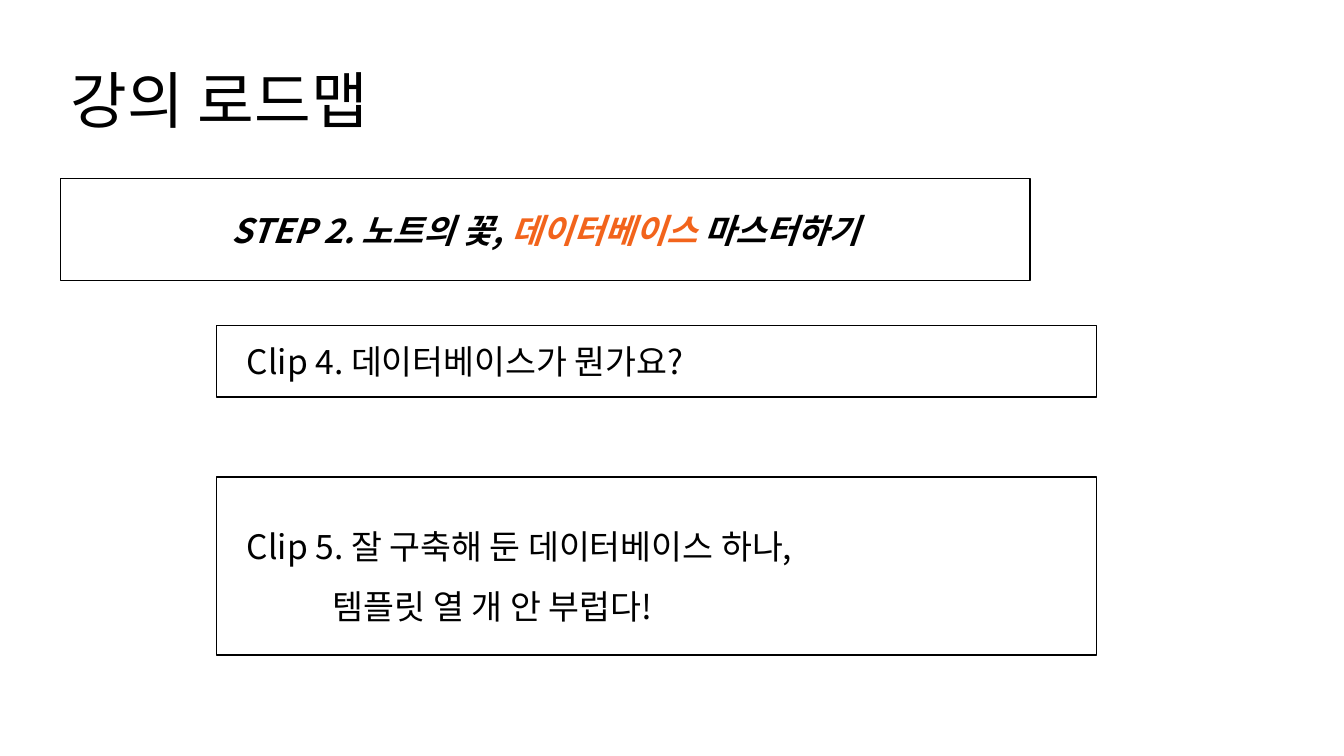
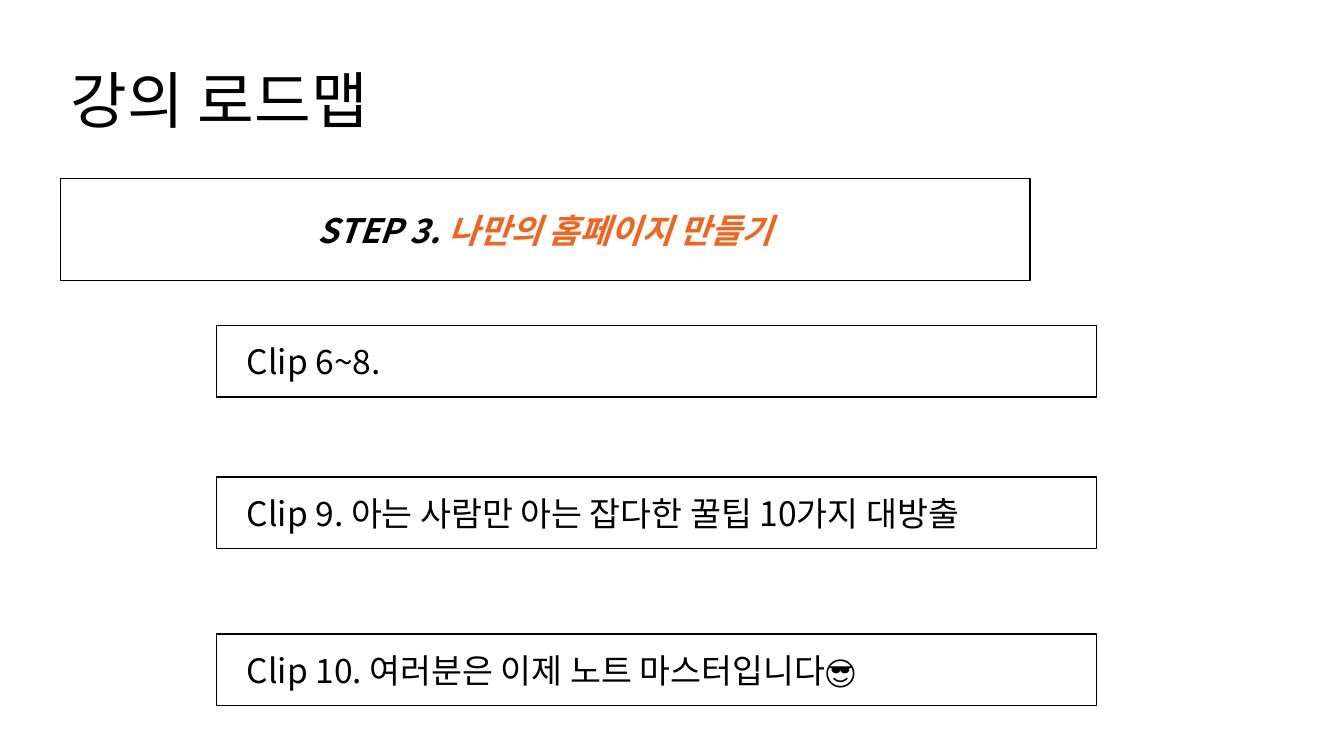
from lxml import etree
from pptx import Presentation
from pptx.dml.color import RGBColor
from pptx.enum.shapes import MSO_SHAPE
from pptx.enum.text import MSO_ANCHOR, PP_ALIGN
from pptx.oxml.ns import qn
from pptx.util import Pt

RECT = MSO_SHAPE.RECTANGLE
MIDDLE = MSO_ANCHOR.MIDDLE
LEFT, CENTER = PP_ALIGN.LEFT, PP_ALIGN.CENTER
FONT = "Noto Sans CJK KR"
COLORS = {"ink": "000000", "paper": "FFFFFF", "accent": "F2641C"}
TITLE = (43.2, 21.6, 828, 104.4)
STEP = (43.2, 127.6, 692.6, 72.9)
CLIP_LEFT, CLIP_WIDTH, CLIP_HIGH = 154.8, 628.5, 51.1
INDENT = 61.4


def rgb(name):
    return RGBColor.from_string(COLORS[name])


def style(run, size, color="ink", strong=False):
    font = run.font
    font.size = Pt(size)
    font.name = FONT
    font.color.rgb = rgb(color)
    font.bold = font.italic = strong
    face = etree.SubElement(run._r.get_or_add_rPr(), qn("a:ea"))
    face.set("typeface", FONT)


def add_title(slide, text, box):
    title = slide.shapes.title
    title.left, title.top, title.width, title.height = map(Pt, box)
    frame = title.text_frame
    frame.text = text
    frame.vertical_anchor = MIDDLE
    para = frame.paragraphs[0]
    para.alignment = LEFT
    para.line_spacing = 0.9
    style(para.runs[0], 44)


def add_box(slide, box):
    shape = slide.shapes.add_shape(RECT, *map(Pt, box))
    shape.shadow.inherit = False
    shape.fill.solid()
    shape.fill.fore_color.rgb = rgb("paper")
    shape.line.color.rgb = rgb("ink")
    shape.line.width = Pt(1)
    frame = shape.text_frame
    frame.word_wrap = True
    frame.vertical_anchor = MIDDLE
    return frame


def add_step(slide, parts, box):
    para = add_box(slide, box).paragraphs[0]
    para.alignment = CENTER
    for text, color in parts:
        run = para.add_run()
        run.text = text
        style(run, 24, color, True)


def add_clip(slide, text, box):
    frame = add_box(slide, box)
    frame.margin_left = Pt(21.6)
    frame.margin_top = frame.margin_bottom = Pt(14.4)
    frame.text = text
    paras = frame.paragraphs
    for para in paras:
        para.alignment = LEFT
        if len(paras) > 1:
            para.line_spacing = 1.5
        style(para.runs[0], 24)
    for para in paras[1:]:
        para._p.get_or_add_pPr().set("marL", str(Pt(INDENT)))


def add_map(deck, step, clips):
    slide = deck.slides.add_slide(deck.slide_layouts[5])
    add_title(slide, "강의 로드맵", TITLE)
    add_step(slide, step, STEP)
    for top, high, text in clips:
        add_clip(slide, text, (CLIP_LEFT, top, CLIP_WIDTH, high))


deck = Presentation()
deck.slide_width, deck.slide_height = Pt(960), Pt(540)
add_map(
    deck,
    [("STEP 2. 노트의 꽃,", "ink"), (" 데이터베이스 ", "accent"), ("마스터하기", "ink")],
    [
        (232.6, CLIP_HIGH, "Clip 4. 데이터베이스가 뭔가요?"),
        (340.6, 127.4, "Clip 5. 잘 구축해 둔 데이터베이스 하나,\n템플릿 열 개 안 부럽다!"),
    ],
)
add_map(
    deck,
    [("STEP 3. ", "ink"), ("나만의 홈페이지 만들기", "accent")],
    [
        (232.6, CLIP_HIGH, "Clip 6~8."),
        (340.6, CLIP_HIGH, "Clip 9. 아는 사람만 아는 잡다한 꿀팁 10가지 대방출"),
        (452.9, CLIP_HIGH, "Clip 10. 여러분은 이제 노트 마스터입니다😎"),
    ],
)
deck.save("out.pptx")
